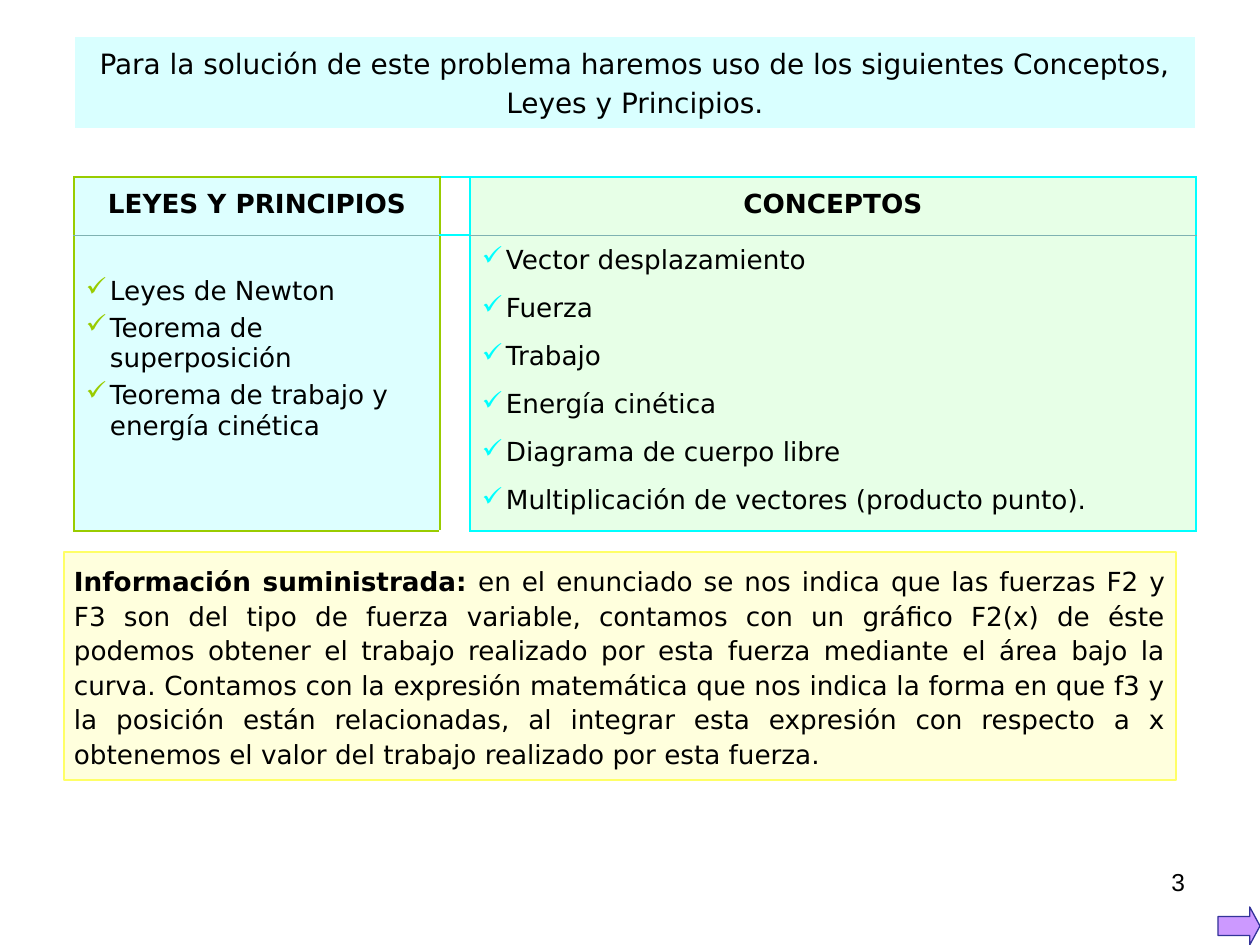
"""Build the slide that lists the laws, concepts and given information of a work problem."""
from dataclasses import dataclass

from lxml import etree
from pptx import Presentation
from pptx.dml.color import RGBColor
from pptx.enum.shapes import MSO_SHAPE
from pptx.enum.text import MSO_ANCHOR, PP_ALIGN
from pptx.oxml.ns import qn
from pptx.util import Emu, Pt

ARROW, RECTANGLE = MSO_SHAPE.RIGHT_ARROW, MSO_SHAPE.RECTANGLE
LEFT, CENTER, RIGHT, JUSTIFY = PP_ALIGN.LEFT, PP_ALIGN.CENTER, PP_ALIGN.RIGHT, PP_ALIGN.JUSTIFY
MIDDLE = MSO_ANCHOR.MIDDLE
PX = 914400 // 126


@dataclass(frozen=True)
class Theme:
    font: str = "DejaVu Sans"
    number_font: str = "Arial"
    title_size: int = 16
    body_size: int = 15
    number_size: int = 14
    text: str = "000000"
    white: str = "FFFFFF"
    title_fill: str = "D9FFFF"
    laws_fill: str = "DDFFFF"
    laws_line: str = "99CC00"
    concepts_fill: str = "E7FFE7"
    concepts_line: str = "00FFFF"
    divider: str = "7FB2B2"
    info_fill: str = "FFFFDD"
    info_line: str = "FFFF66"
    arrow_fill: str = "CC99FF"
    arrow_line: str = "333399"


THEME = Theme()
TITLE = "Para la solución de este problema haremos uso de los siguientes Conceptos, Leyes y Principios."
LISTS = [
    dict(column=0, heading="LEYES Y PRINCIPIOS", fill=THEME.laws_fill, line=THEME.laws_line,
         top=41, spacing=1.0, after=0,
         items=["Leyes de Newton", "Teorema de superposición", "Teorema de trabajo y energía cinética"]),
    dict(column=2, heading="CONCEPTOS", fill=THEME.concepts_fill, line=THEME.concepts_line,
         top=6, spacing=1.15, after=3.7,
         items=["Vector desplazamiento", "Fuerza", "Trabajo", "Energía cinética",
                "Diagrama de cuerpo libre", "Multiplicación de vectores (producto punto)."]),
]
INFO_LABEL = "Información suministrada:"
INFO_TEXT = (
    " en el enunciado se nos indica que las fuerzas F2 y F3 son del tipo de fuerza variable, "
    "contamos con un gráfico F2(x) de éste podemos obtener el trabajo realizado por esta fuerza "
    "mediante el área bajo la curva. Contamos con la expresión matemática que nos indica la forma "
    "en que f3 y la posición están relacionadas, al integrar esta expresión con respecto a x "
    "obtenemos el valor del trabajo realizado por esta fuerza."
)
PAGE_NUMBER = "3"
COLUMNS = [366, 30, 726]
ROWS = [93, 48, 58, 296]
TABLE_AT = (74, 36, sum(COLUMNS), sum(ROWS))
INFO_AT = (64, 552, 1112, 228)
NUMBER_AT = (903, 861, 294, 65)
ARROW_AT = (1218, 907, 42, 38)
INDENT = 24


def px(*lengths):
    return [Emu(length * PX) for length in lengths]


def style(para, size=THEME.body_size, align=LEFT, spacing=1.0, bold=False, font=THEME.font):
    para.alignment, para.line_spacing = align, spacing
    para.font.name, para.font.size, para.font.bold = font, Pt(size), bold
    para.font.color.rgb = RGBColor.from_string(THEME.text)


def set_margins(target, side, top, bottom):
    target.margin_left, target.margin_right, target.margin_top, target.margin_bottom = px(side, side, top, bottom)


def add_bullet(para, color):
    props = para._p.get_or_add_pPr()
    props.set("marL", str(INDENT * PX))
    props.set("indent", str(-INDENT * PX))
    paint = etree.SubElement(props, qn("a:buClr"))
    etree.SubElement(paint, qn("a:srgbClr"), val=color)
    etree.SubElement(props, qn("a:buChar"), char="✓")


def dress_cell(cell, fill, top=6, **borders):
    props = cell._tc.get_or_add_tcPr()
    for side in "LRTB":
        if side in borders:
            color, width = borders[side]
            line = etree.SubElement(props, qn(f"a:ln{side}"), w=str(Pt(width)))
            paint = etree.SubElement(line, qn("a:solidFill"))
            etree.SubElement(paint, qn("a:srgbClr"), val=color)
    cell.fill.solid()
    cell.fill.fore_color.rgb = RGBColor.from_string(fill)
    set_margins(cell, 12, top, 6)


def add_table(page):
    table = page.shapes.add_table(len(ROWS), len(COLUMNS), *px(*TABLE_AT)).table
    table.first_row = table.horz_banding = False
    for column, width in zip(table.columns, px(*COLUMNS)):
        column.width = width
    for row, height in zip(table.rows, px(*ROWS)):
        row.height = height

    laws, concepts = [(group["line"], 1.08) for group in LISTS]
    divider = (THEME.divider, 0.25)
    for row in (0, 1):
        table.cell(row, 0).merge(table.cell(row, 2))
    title = table.cell(0, 0)
    dress_cell(title, THEME.title_fill)
    title.text = TITLE
    style(title.text_frame.paragraphs[0], THEME.title_size, CENTER, 1.2)
    dress_cell(table.cell(1, 0), THEME.white, 0, B=concepts)
    dress_cell(table.cell(2, 1), THEME.white, 0, L=laws, R=concepts, T=concepts)
    dress_cell(table.cell(3, 1), THEME.white, 0, L=laws, R=concepts)

    for group in LISTS:
        edge = (group["line"], 1.08)
        heading, body = [table.cell(row, group["column"]) for row in (2, 3)]
        dress_cell(heading, group["fill"], L=edge, R=edge, T=edge, B=divider)
        heading.text = group["heading"]
        style(heading.text_frame.paragraphs[0], align=CENTER, spacing=1.2, bold=True)
        dress_cell(body, group["fill"], group["top"], L=edge, R=edge, T=divider, B=edge)
        body.text = "\n".join(group["items"])
        for index, para in enumerate(body.text_frame.paragraphs):
            add_bullet(para, group["line"])
            style(para, spacing=group["spacing"])
            para.space_before = Pt(3.7 if index else 0)
            para.space_after = Pt(group["after"])


def add_shape(page, kind, place, fill, line):
    shape = page.shapes.add_shape(kind, *px(*place))
    shape.shadow.inherit = False
    shape.fill.solid()
    shape.fill.fore_color.rgb = RGBColor.from_string(fill)
    shape.line.color.rgb = RGBColor.from_string(line)
    shape.line.width = Pt(0.75)
    return shape


def add_info(page):
    frame = add_shape(page, RECTANGLE, INFO_AT, THEME.info_fill, THEME.info_line).text_frame
    frame.word_wrap, frame.vertical_anchor = True, MIDDLE
    set_margins(frame, 10, 10, 10)
    para = frame.paragraphs[0]
    style(para, align=JUSTIFY, spacing=1.1)
    for text, bold in ((INFO_LABEL, True), (INFO_TEXT, False)):
        span = para.add_run()
        span.text, span.font.bold = text, bold


def add_page_number(page):
    frame = page.shapes.add_textbox(*px(*NUMBER_AT)).text_frame
    frame.word_wrap = True
    set_margins(frame, 12, 6, 6)
    frame.text = PAGE_NUMBER
    style(frame.paragraphs[0], THEME.number_size, RIGHT, font=THEME.number_font)


def main():
    deck = Presentation()
    deck.slide_width, deck.slide_height = px(1260, 945)
    page = deck.slides.add_slide(deck.slide_layouts[6])
    add_table(page)
    arrow = add_shape(page, ARROW, ARROW_AT, THEME.arrow_fill, THEME.arrow_line)
    arrow.adjustments[1] = 0.27
    add_info(page)
    add_page_number(page)
    deck.save("out.pptx")


if __name__ == "__main__":
    main()
